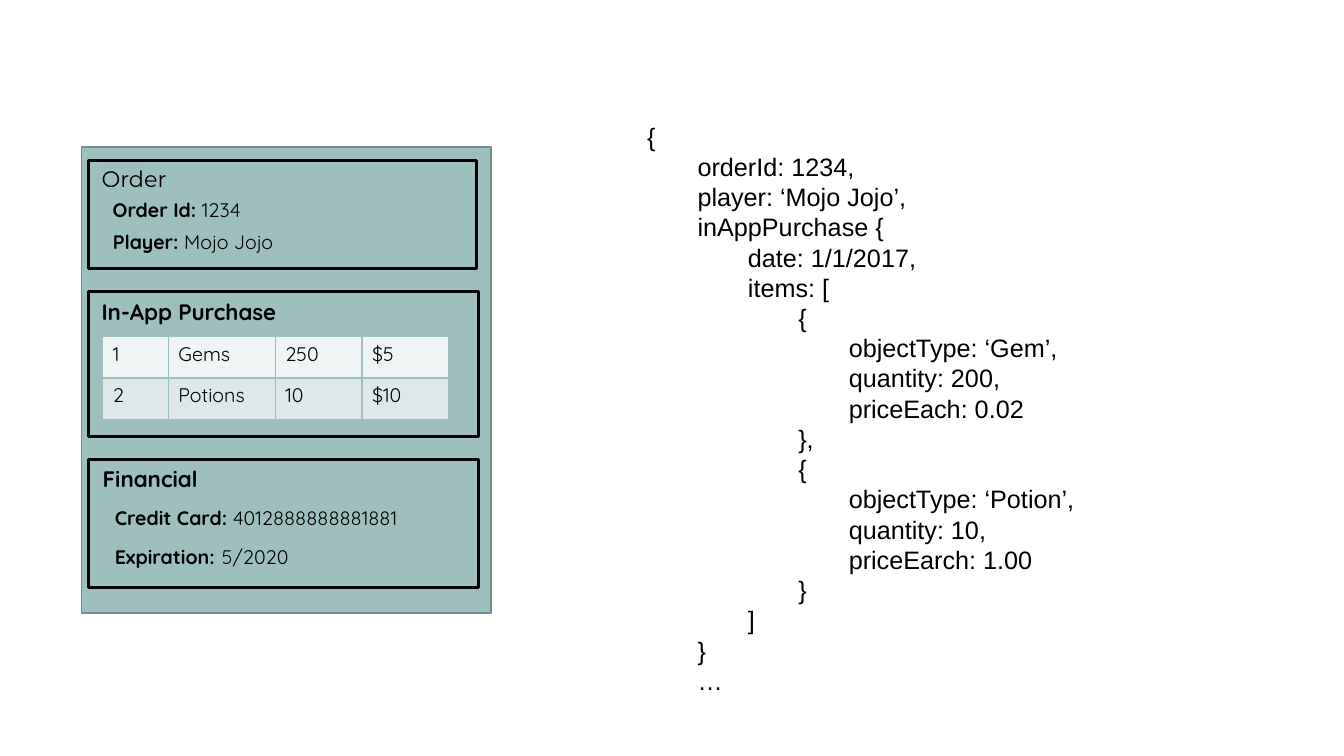
from lxml.etree import SubElement
from pptx import Presentation
from pptx.dml.color import RGBColor
from pptx.enum.shapes import MSO_SHAPE
from pptx.enum.text import MSO_AUTO_SIZE
from pptx.oxml.ns import qn
from pptx.util import Inches, Pt

COLORS = {
    "ink": "000000",
    "panel": "9DBFBE",
    "panel_edge": "748D8D",
    "row_light": "EFF4F4",
    "row_dark": "DFE8E8",
}

PURCHASES = [("1", "Gems", "250", "$5"), ("2", "Potions", "10", "$10")]
COLUMN_WIDTHS = [0.65, 1.06, 0.86, 0.86]
ROW_HEIGHT = 0.41
INDENT = 0.5

SECTION_FRAMES = [
    (0.88, 1.59, 3.85, 1.07),
    (0.88, 2.89, 3.87, 1.44),
    (0.88, 4.56, 3.87, 1.27),
]

HEADINGS = [
    ("Order", (0.91, 1.59, 3, 0.37), "Montserrat", False),
    ("In-App Purchase", (0.91, 2.91, 2.7, 0.37), "Quicksand", True),
    ("Financial", (0.92, 4.57, 2.11, 0.37), "Quicksand", True),
]

FIELDS = [
    ("Order Id:", "1234", (1.02, 1.91, 2, 0.34), 14, "Quicksand"),
    ("Player:", "Mojo Jojo", (1.02, 2.23, 2.58, 0.34), 14, "Quicksand"),
    ("Credit Card:", "4012888888881881", (1.04, 4.97, 3.73, 0.34), 14, "Quicksand"),
    ("Expiration:", "5/2020", (1.04, 5.3, 3.13, 0.4), 18, "Arial"),
]

DOCUMENT_LINES = [
    (0, "{"),
    (1, "orderId: 1234,"),
    (1, "player: ‘Mojo Jojo’,"),
    (1, "inAppPurchase {"),
    (2, "date: 1/1/2017,"),
    (2, "items: ["),
    (3, "{"),
    (4, "objectType: ‘Gem’,"),
    (4, "quantity: 200,"),
    (4, "priceEach: 0.02"),
    (3, "},"),
    (3, "{"),
    (4, "objectType: ‘Potion’,"),
    (4, "quantity: 10,"),
    (4, "priceEarch: 1.00"),
    (3, "}"),
    (2, "]"),
    (1, "}"),
    (1, "…"),
]


def color(name):
    return RGBColor.from_string(COLORS[name])


def place(box):
    return [Inches(length) for length in box]


def format_run(run, size, font="Quicksand", bold=False):
    run.font.size = Pt(size)
    run.font.name = font
    run.font.bold = bold
    run.font.color.rgb = color("ink")


def add_rectangle(slide, box, edge, width, fill=None):
    rectangle = slide.shapes.add_shape(MSO_SHAPE.RECTANGLE, *place(box))
    rectangle.shadow.inherit = False
    if fill:
        rectangle.fill.solid()
        rectangle.fill.fore_color.rgb = color(fill)
    else:
        rectangle.fill.background()
    rectangle.line.color.rgb = color(edge)
    rectangle.line.width = Pt(width)
    SubElement(rectangle.line._get_or_add_ln(), qn("a:round"))


def add_text_frame(slide, box):
    frame = slide.shapes.add_textbox(*place(box)).text_frame
    frame.word_wrap = True
    frame.auto_size = MSO_AUTO_SIZE.SHAPE_TO_FIT_TEXT
    return frame


def add_heading(slide, heading, box, font, bold):
    frame = add_text_frame(slide, box)
    frame.text = heading
    format_run(frame.paragraphs[0].runs[0], 16, font, bold)


def add_field(slide, label, value, box, gap_size, gap_font):
    paragraph = add_text_frame(slide, box).paragraphs[0]
    paragraph.text = label
    format_run(paragraph.runs[0], 14, bold=True)
    gap = paragraph.add_run()
    gap.text = " "
    format_run(gap, gap_size, gap_font, gap_size == 14)
    detail = paragraph.add_run()
    detail.text = value
    format_run(detail, 14)


def set_borders(cell):
    properties = cell._tc.get_or_add_tcPr()
    for position, side in enumerate(("a:lnL", "a:lnR", "a:lnT", "a:lnB")):
        border = SubElement(properties, qn(side), w=str(Pt(1)))
        fill = SubElement(border, qn("a:solidFill"))
        SubElement(fill, qn("a:srgbClr"), val=COLORS["panel"])
        properties.insert(position, border)


def add_purchases(slide):
    box = (1.02, 3.34, sum(COLUMN_WIDTHS), ROW_HEIGHT * len(PURCHASES))
    table = slide.shapes.add_table(
        len(PURCHASES), len(COLUMN_WIDTHS), *place(box)
    ).table
    table.first_row = False
    table.horz_banding = False
    for column, width in zip(table.columns, COLUMN_WIDTHS):
        column.width = Inches(width)
    for row, purchase, shade in zip(table.rows, PURCHASES, ("row_light", "row_dark")):
        row.height = Inches(ROW_HEIGHT)
        for cell, value in zip(row.cells, purchase):
            cell.text = value
            format_run(cell.text_frame.paragraphs[0].runs[0], 14)
            cell.fill.solid()
            cell.fill.fore_color.rgb = color(shade)
            set_borders(cell)


def add_document(slide):
    frame = add_text_frame(slide, (6.32, 1.15, 5.46, 6.16))
    for number, (depth, line) in enumerate(DOCUMENT_LINES):
        paragraph = frame.add_paragraph() if number else frame.paragraphs[0]
        paragraph.text = line
        format_run(paragraph.runs[0], 18, "Arial")
        properties = paragraph._p.get_or_add_pPr()
        properties.set("marL", str(Inches(INDENT * depth)))
        properties.set("indent", "0")


def main():
    presentation = Presentation()
    presentation.slide_width = Inches(13.33)
    presentation.slide_height = Inches(7.5)
    slide = presentation.slides.add_slide(presentation.slide_layouts[6])

    add_rectangle(slide, (0.81, 1.46, 4.06, 4.62), "panel_edge", 1, "panel")
    for heading in HEADINGS:
        add_heading(slide, *heading)
    for field in FIELDS:
        add_field(slide, *field)
    for frame_box in SECTION_FRAMES:
        add_rectangle(slide, frame_box, "ink", 2.25)
    add_purchases(slide)
    add_document(slide)

    presentation.save("out.pptx")


if __name__ == "__main__":
    main()
